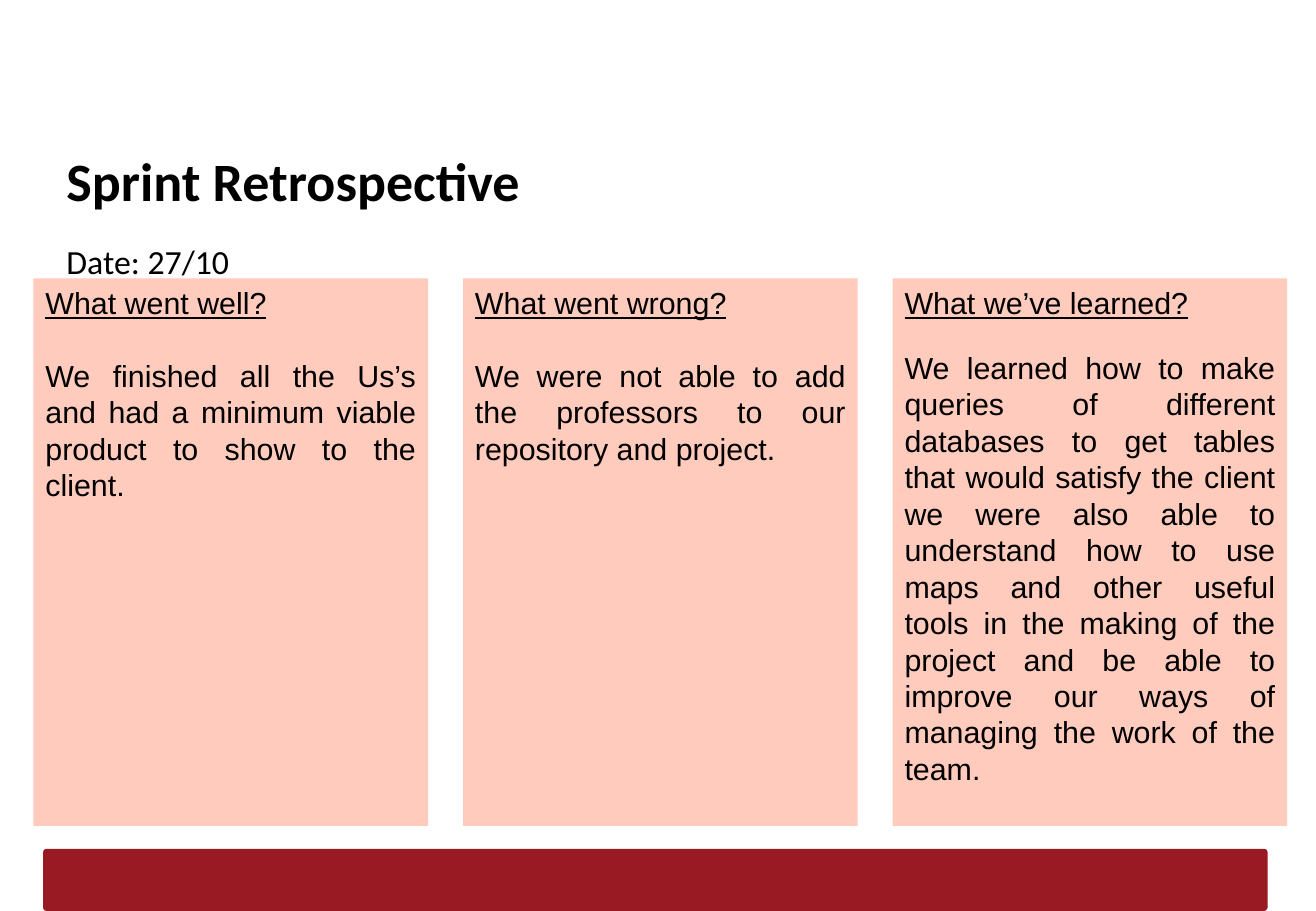
from pptx import Presentation
from pptx import util as u
from pptx.dml import color
from pptx.enum import shapes, text

COLORS = {"bar": "9A1A24", "panel": "FFCBBD", "ink": "000000"}

# Heading, body, gap between them in points
PANELS = [
    ("What went well?",
     "We finished all the Us’s and had a minimum viable product to show to the client.",
     21.6),
    ("What went wrong?",
     "We were not able to add the professors to our repository and project.",
     21.6),
    ("What we’ve learned?",
     "We learned how to make queries of different databases to get tables that would "
     "satisfy the client we were also able to understand how to use maps and other "
     "useful tools in the making of the project and be able to improve our ways of "
     "managing the work of the team.",
     16.9),
]


def rgb(name):
    return color.RGBColor.from_string(COLORS[name])


def style(p, size, font, bold=False, underline=False):
    for r in p.runs:
        r.font.size = u.Pt(size)
        r.font.name = font
        r.font.bold = bold
        r.font.underline = underline
        r.font.color.rgb = rgb("ink")


def add_block(s, kind, left, top, width, height, fill):
    sp = s.shapes.add_shape(kind, u.Cm(left), u.Cm(top), u.Cm(width), u.Cm(height))
    sp.shadow.inherit = False
    sp.fill.solid()
    sp.fill.fore_color.rgb = rgb(fill)
    sp.line.fill.background()
    return sp


def add_label(s, top, height, label, size, bold=False):
    sp = s.shapes.add_textbox(u.Cm(1.14), u.Cm(top), u.Cm(25.12), u.Cm(height))
    tf = sp.text_frame
    tf.word_wrap = True
    tf.margin_left = tf.margin_right = tf.margin_top = tf.margin_bottom = u.Cm(0.25)
    tf.text = label
    style(tf.paragraphs[0], size, "Calibri", bold)


def add_panel(s, left, heading, body, gap):
    sp = add_block(s, shapes.MSO_SHAPE.RECTANGLE, left, 5.82, 8.25, 11.45, "panel")
    tf = sp.text_frame
    tf.word_wrap = True
    tf.vertical_anchor = text.MSO_ANCHOR.TOP
    tf.text = heading
    p = tf.paragraphs[0]
    p.alignment = text.PP_ALIGN.LEFT
    style(p, 18, "Arial", underline=True)
    p = tf.add_paragraph()
    p.text = body
    p.alignment = text.PP_ALIGN.JUSTIFY
    p.space_before = u.Pt(gap)
    style(p, 18, "Arial")
    for p in tf.paragraphs:
        p.line_spacing = u.Pt(21.6)


def main():
    prs = Presentation()
    prs.slide_width, prs.slide_height = u.Cm(27.51), u.Cm(19.05)
    s = prs.slides.add_slide(prs.slide_layouts[6])

    # Footer bar
    bar = add_block(s, shapes.MSO_SHAPE.ROUNDED_RECTANGLE, 0.9, 17.75, 25.6, 1.3, "bar")
    bar.adjustments[0] = 0.06

    # Title and date
    add_label(s, 2.83, 1.6, "Sprint Retrospective", 32, bold=True)
    add_label(s, 4.78, 1.2, "Date: 27/10", 20)

    # Three equal columns
    for i, panel in enumerate(PANELS):
        add_panel(s, 0.7 + i * 8.98, *panel)

    prs.save("out.pptx")


if __name__ == "__main__":
    main()
